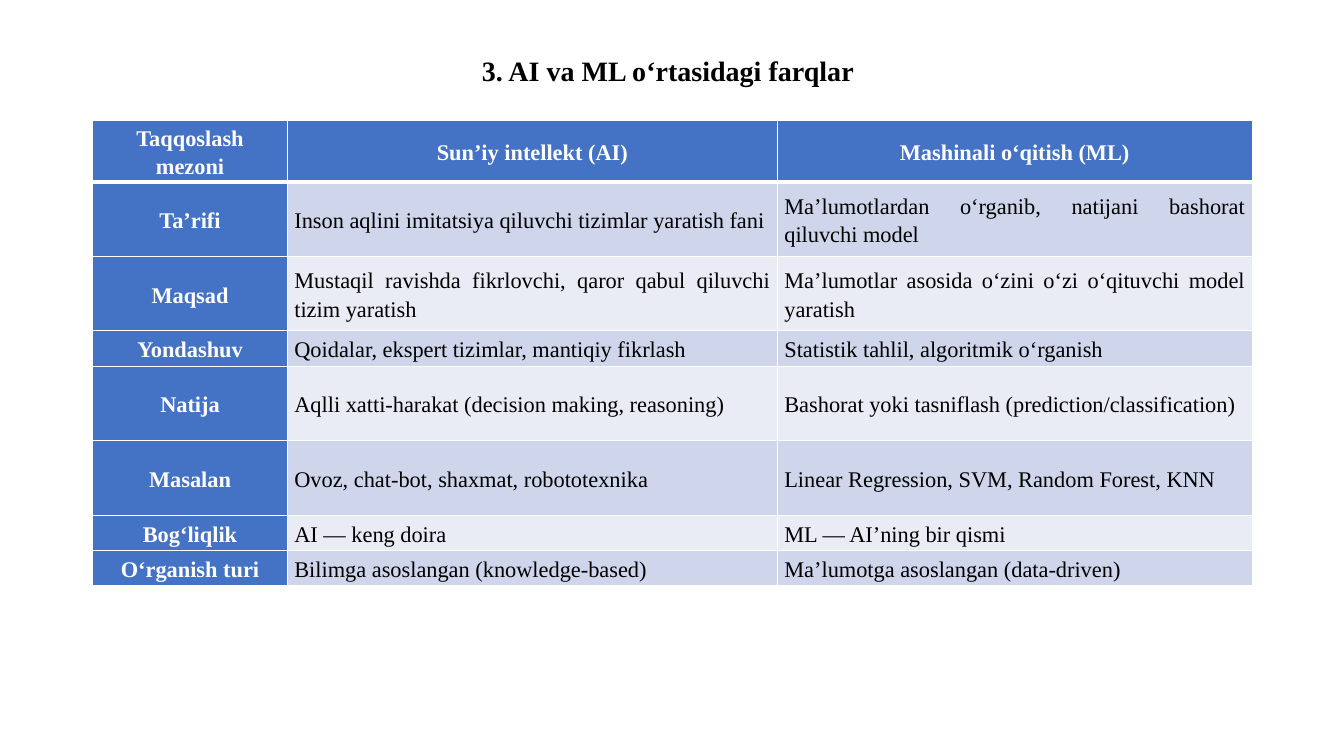
from typing import NamedTuple

from lxml import etree
from pptx import Presentation
from pptx.dml.color import RGBColor
from pptx.enum.text import MSO_ANCHOR, MSO_AUTO_SIZE, PP_ALIGN
from pptx.oxml.ns import qn
from pptx.util import Emu, Pt

TOP, MIDDLE = MSO_ANCHOR.TOP, MSO_ANCHOR.MIDDLE
GROW = MSO_AUTO_SIZE.SHAPE_TO_FIT_TEXT
CENTER, JUSTIFY = PP_ALIGN.CENTER, PP_ALIGN.JUSTIFY

PX = 9144  # 100 px to the inch
FONT = "Times New Roman"
BLACK = RGBColor(0x00, 0x00, 0x00)
WHITE = RGBColor(0xFF, 0xFF, 0xFF)
BLUE = RGBColor(0x44, 0x72, 0xC4)
BANDS = (RGBColor(0xE9, 0xEB, 0xF5), RGBColor(0xCF, 0xD5, 0xEA))

COLUMN_WIDTHS = (193, 486, 471)


class Comparison(NamedTuple):
    height: int
    criterion: str
    ai: str
    ml: str


ROWS = (
    Comparison(35, "Taqqoslash mezoni", "Sun’iy intellekt (AI)", "Mashinali o‘qitish (ML)"),
    Comparison(74, "Ta’rifi", "Inson aqlini imitatsiya qiluvchi tizimlar yaratish fani",
               "Ma’lumotlardan o‘rganib, natijani bashorat qiluvchi model"),
    Comparison(74, "Maqsad", "Mustaqil ravishda fikrlovchi, qaror qabul qiluvchi tizim yaratish",
               "Ma’lumotlar asosida o‘zini o‘zi o‘qituvchi model yaratish"),
    Comparison(35, "Yondashuv", "Qoidalar, ekspert tizimlar, mantiqiy fikrlash",
               "Statistik tahlil, algoritmik o‘rganish"),
    Comparison(74, "Natija", "Aqlli xatti-harakat (decision making, reasoning)",
               "Bashorat yoki tasniflash (prediction/classification)"),
    Comparison(74, "Masalan", "Ovoz, chat-bot, shaxmat, robototexnika",
               "Linear Regression, SVM, Random Forest, KNN"),
    Comparison(35, "Bog‘liqlik", "AI — keng doira", "ML — AI’ning bir qismi"),
    Comparison(35, "O‘rganish turi", "Bilimga asoslangan (knowledge-based)",
               "Ma’lumotga asoslangan (data-driven)"),
)


def px(length: int) -> Emu:
    return Emu(length * PX)


def write(para, text: str, size: int, color: RGBColor, bold: bool, align) -> None:
    para.alignment = align
    para.line_spacing = 1.15
    span = para.add_run()
    span.text = text
    span.font.name = FONT
    span.font.size = Pt(size)
    span.font.bold = bold
    span.font.color.rgb = color


def add_border(cell, side: str, points: int) -> None:
    properties = cell._tc.get_or_add_tcPr()
    line = etree.SubElement(properties, qn(f"a:ln{side}"), w=str(Pt(points)))
    fill = etree.SubElement(line, qn("a:solidFill"))
    etree.SubElement(fill, qn("a:srgbClr"), val=str(WHITE))


def fill_cell(cell, text: str, row: int, column: int) -> None:
    """Style headings blue and the other cells in alternating bands."""
    heading = row == 0 or column == 0
    cell.margin_left = cell.margin_right = px(7)
    cell.margin_top = cell.margin_bottom = 0
    cell.vertical_anchor = MIDDLE
    widths = {"L": 1, "R": 1, "T": 3 if row == 1 else 1, "B": 3 if row == 0 else 1}
    for side, points in widths.items():
        add_border(cell, side, points)
    cell.fill.solid()
    cell.fill.fore_color.rgb = BLUE if heading else BANDS[row % 2]
    para = cell.text_frame.paragraphs[0]
    para.space_after = Pt(8)
    write(para, text, 16, WHITE if heading else BLACK, heading,
          CENTER if heading else JUSTIFY)


def add_title(page) -> None:
    title = page.shapes.title
    title.left, title.top, title.width, title.height = map(px, (468, 43, 396, 46))
    frame = title.text_frame
    frame.word_wrap = True
    frame.auto_size = GROW
    frame.vertical_anchor = TOP
    para = frame.paragraphs[0]
    para.space_before = Pt(0)
    write(para, "3. AI va ML o‘rtasidagi farqlar", 20, BLACK, True, JUSTIFY)


def add_comparison_table(page) -> None:
    height = sum(row.height for row in ROWS)
    table = page.shapes.add_table(
        len(ROWS), len(COLUMN_WIDTHS),
        px(92), px(119), px(sum(COLUMN_WIDTHS)), px(height)).table
    table.first_col = True
    for column, width in zip(table.columns, COLUMN_WIDTHS):
        column.width = px(width)
    for index, row in enumerate(ROWS):
        table.rows[index].height = px(row.height)
        for column, text in enumerate((row.criterion, row.ai, row.ml)):
            fill_cell(table.cell(index, column), text, index, column)


def main() -> None:
    deck = Presentation()
    deck.slide_width, deck.slide_height = px(1333), px(750)
    page = deck.slides.add_slide(deck.slide_layouts.get_by_name("Title Only"))
    add_title(page)
    add_comparison_table(page)
    deck.save("out.pptx")


if __name__ == "__main__":
    main()
